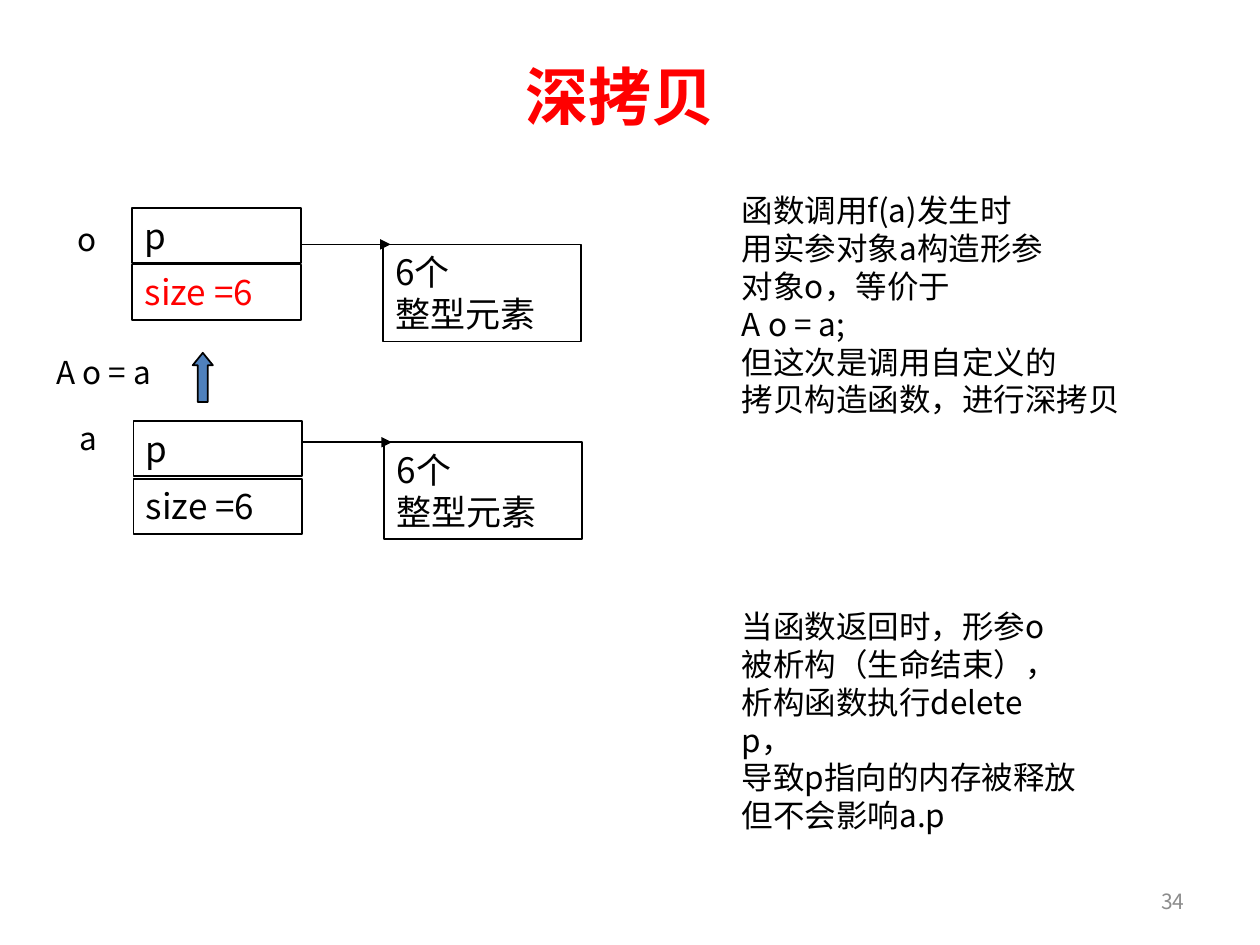
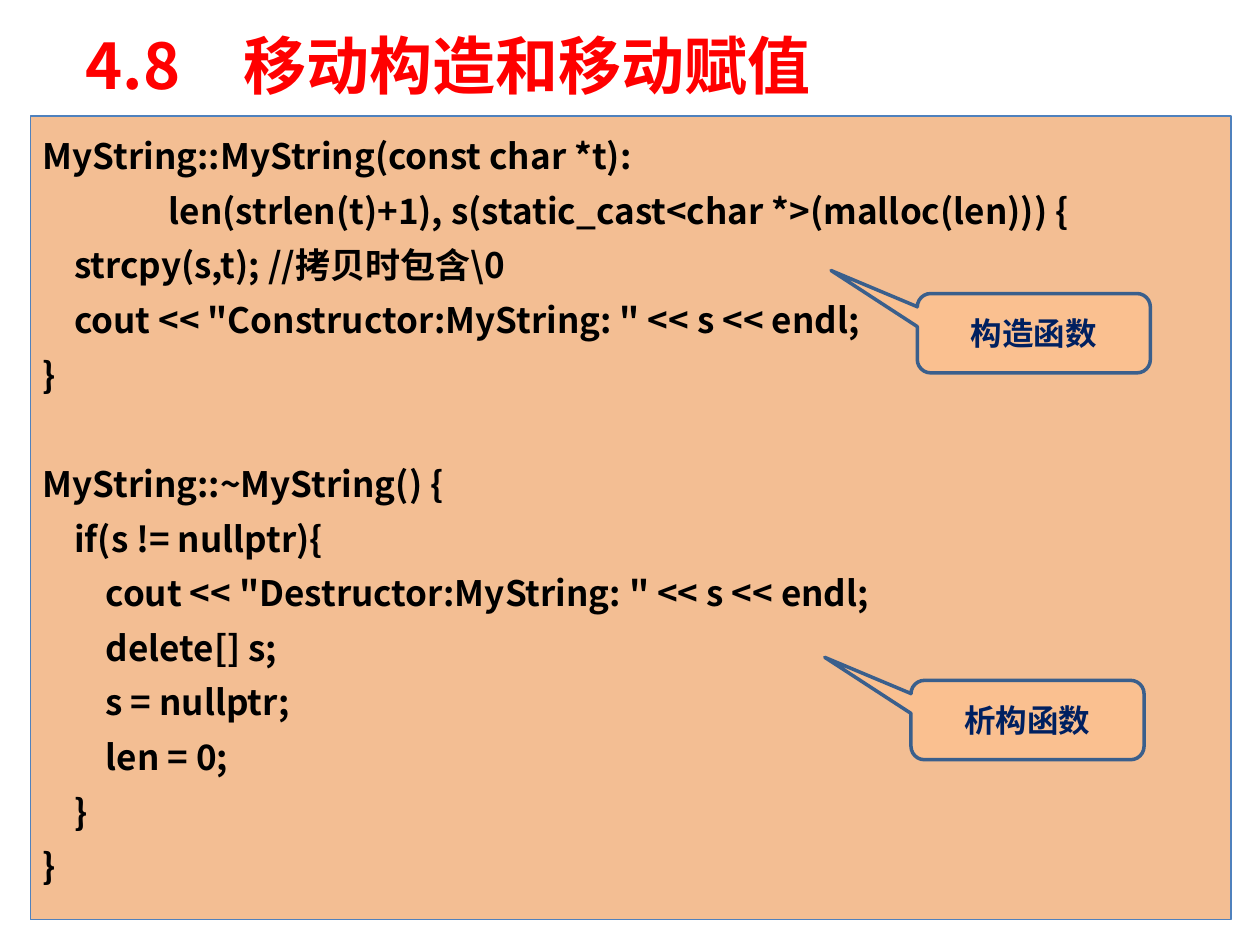
"""Builds two lecture slides on deep copying and on move construction."""
from lxml.etree import SubElement
from pptx import Presentation
from pptx.dml.color import RGBColor
from pptx.enum.shapes import MSO_CONNECTOR, MSO_SHAPE
from pptx.enum.text import MSO_ANCHOR, PP_ALIGN
from pptx.oxml.ns import qn
from pptx.util import Inches, Pt

BLACK = RGBColor(0x00, 0x00, 0x00)
RED = RGBColor(0xFF, 0x00, 0x00)
GRAY = RGBColor(0x8C, 0x8C, 0x8C)
BLUE = RGBColor(0x4F, 0x81, 0xBD)
EDGE = RGBColor(0x3A, 0x5F, 0x8C)
NAVY = RGBColor(0x00, 0x20, 0x60)
ORANGE = RGBColor(0xE4, 0x6C, 0x0A)
PEACH = RGBColor(0xFA, 0xC0, 0x90)
BODY_FONT = "Noto Sans CJK JP"
TITLE_FONT = "Noto Sans CJK SC"

prs = Presentation()
prs.slide_width, prs.slide_height = Inches(10), Inches(7.5)
COL = prs.slide_width / 100
ROW = prs.slide_height / 75


def put_text(sp, lines, size, color=BLACK, bold=False, name=BODY_FONT,
             align=PP_ALIGN.LEFT, anchor=MSO_ANCHOR.TOP, leading=1.2):
    """Fill a shape with one paragraph per line and return the paragraphs."""
    tf = sp.text_frame
    tf.word_wrap = True
    tf.vertical_anchor = anchor
    tf.text = "\n".join(lines)
    for p in tf.paragraphs:
        p.alignment = align
        p.line_spacing = Pt(size * leading)
        p.font.size, p.font.bold = Pt(size), bold
        p.font.color.rgb = color
        p.font.name = name
        SubElement(p.font._rPr, qn("a:ea"), typeface=name)
    return tf.paragraphs


def add_box(s, at, kind=None, fill=None, line=BLACK, width=1):
    """Add a text box, or a preset shape when a kind is given, on the grid."""
    x, y, w, h = at
    frame = [round(v) for v in (x * COL, y * ROW, w * COL, h * ROW)]
    if kind is None:
        return s.shapes.add_textbox(*frame)
    sp = s.shapes.add_shape(kind, *frame)
    sp.shadow.inherit = False
    if fill is None:
        sp.fill.background()
    else:
        sp.fill.solid()
        sp.fill.fore_color.rgb = fill
    sp.line.color.rgb, sp.line.width = line, Pt(width)
    return sp


copy_slide, move_slide = [prs.slides.add_slide(prs.slide_layouts[6]) for _ in range(2)]

TITLES = [
    (copy_slide, "深拷贝", (6.7, 3.6, 85, 8), PP_ALIGN.CENTER),
    (move_slide, "4.8　移动构造和移动赋值", (5.8, 0.5, 85, 9.2), PP_ALIGN.LEFT),
]
for s, title, at, align in TITLES:
    put_text(add_box(s, at), [title], 36, RED, True, TITLE_FONT, align, MSO_ANCHOR.MIDDLE)

s = copy_slide
put_text(add_box(s, (71.7, 69.5, 23.3, 4)), ["34"], 12, GRAY,
         align=PP_ALIGN.RIGHT, anchor=MSO_ANCHOR.MIDDLE)

OBJECTS = [
    (10.5, 16.5, 4.5, 19.4, RED),
    (10.6, 33.4, 4.6, 35.1, BLACK),
]
for x, y, step, array_y, size_color in OBJECTS:
    for i, (member, color) in enumerate([("p", BLACK), ("size =6", size_color)]):
        sp = add_box(s, (x, y + i * step, 13.4, 4.4), MSO_SHAPE.RECTANGLE)
        put_text(sp, [member], 20, color)
    sp = add_box(s, (x + 19.9, array_y, 15.7, 7.7), MSO_SHAPE.RECTANGLE)
    put_text(sp, ["6个", "整型元素"], 20)
    pointer = s.shapes.add_connector(
        MSO_CONNECTOR.STRAIGHT, round((x + 13.4) * COL), round(array_y * ROW),
        round((x + 20.5) * COL), round(array_y * ROW))
    pointer.line.color.rgb, pointer.line.width = BLACK, Pt(1)
    SubElement(pointer.line._get_or_add_ln(), qn("a:tailEnd"), type="triangle")
    SubElement(pointer._element.spPr, qn("a:effectLst"))

arrow = add_box(s, (15.3, 28, 1.6, 3.9), MSO_SHAPE.UP_ARROW, BLUE)
arrow.adjustments[1] = 0.62

NOTES = [
    ((5.2, 17, 3.5, 4), ["o"]),
    ((5.3, 32.8, 3.3, 4), ["a"]),
    ((3.5, 27.5, 10.4, 4), ["A o = a"]),
    ((57.9, 14.7, 32.3, 22.2), [
        "函数调用f(a)发生时", "用实参对象a构造形参", "对象o，等价于",
        "A o = a;", "但这次是调用自定义的", "拷贝构造函数，进行深拷贝"]),
    ((57.9, 47.7, 28.7, 16.2), [
        "当函数返回时，形参o", "被析构（生命结束），", "析构函数执行delete p，",
        "导致p指向的内存被释放", "但不会影响a.p"]),
]
for at, lines in NOTES:
    put_text(add_box(s, at), lines, 18)

s = move_slide
CODE = [
    (0, "MyString::MyString(const char *t):"),
    (4, "len(strlen(t)+1), s(static_cast<char *>(malloc(len))) {"),
    (1, r"strcpy(s,t); //拷贝时包含\0"),
    (1, 'cout << "Constructor:MyString: " << s << endl;'),
    (0, "}"),
    (0, "MyString::~MyString() {"),
    (1, "if(s != nullptr){"),
    (2, 'cout << "Destructor:MyString: " << s << endl;'),
    (2, "delete[] s;"),
    (2, "s = nullptr;"),
    (2, "len = 0;"),
    (1, "}"),
    (0, "}"),
]
panel = add_box(s, (2.4, 9.2, 95.3, 63.8), MSO_SHAPE.RECTANGLE, ORANGE, BLUE, 0.75)
tint = panel._element.spPr.find(qn("a:solidFill"))[0]
SubElement(tint, qn("a:alpha"), val="44000")
code = put_text(panel, [line for _, line in CODE], 20, bold=True, leading=1.56)
for p, (depth, line) in zip(code, CODE):
    p._p.get_or_add_pPr().set("marL", str(round(depth * 2.5 * COL)))
    if "~" in line:
        p.space_before = p.line_spacing

for x, y, label in [(72.8, 23.3, "构造函数"), (72.3, 54, "析构函数")]:
    sp = add_box(s, (x, y, 18.5, 6.3), MSO_SHAPE.ROUNDED_RECTANGULAR_CALLOUT, PEACH, EDGE, 2)
    for i, value in enumerate((-0.87, -0.79, 0.17)):
        sp.adjustments[i] = value
    put_text(sp, [label], 18, NAVY, True, align=PP_ALIGN.CENTER, anchor=MSO_ANCHOR.MIDDLE)

prs.save("out.pptx")
